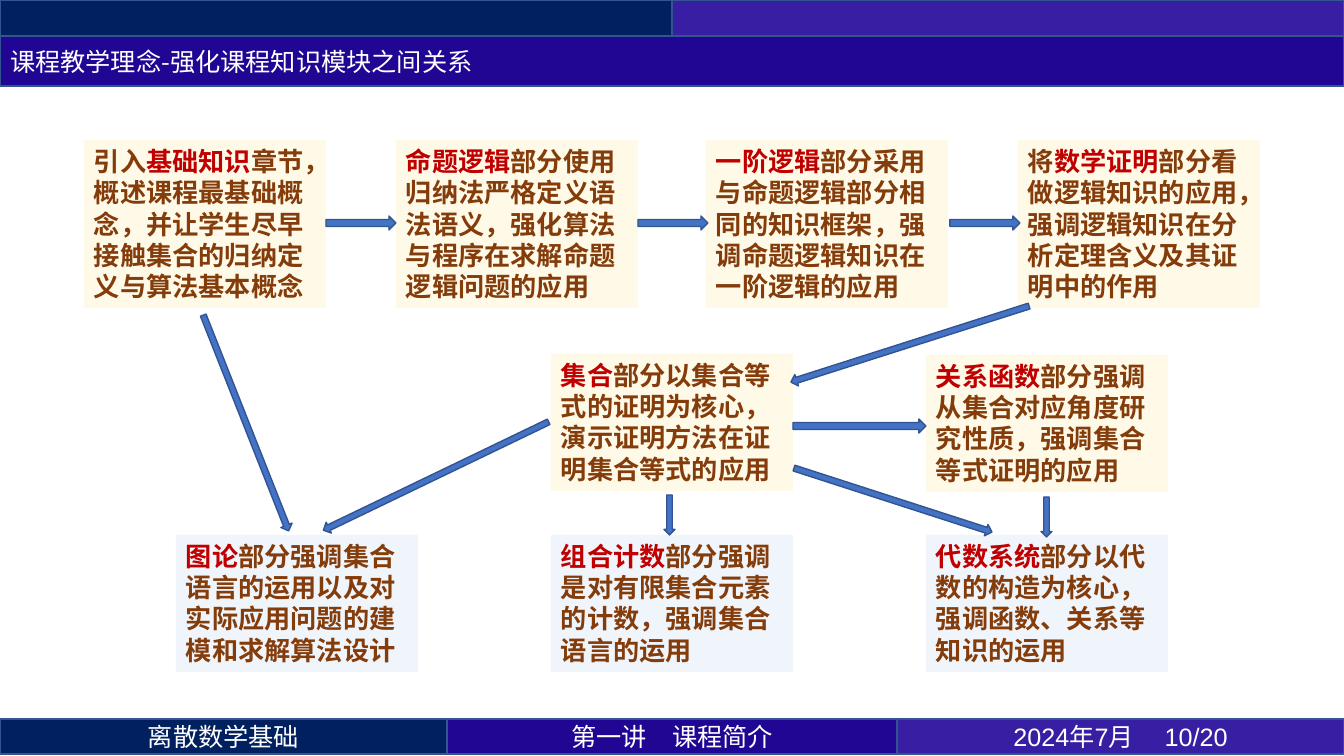
"""Build the slide on how the modules of a discrete mathematics course relate."""
from lxml.etree import SubElement
from pptx import Presentation
from pptx.dml.color import RGBColor
from pptx.enum.shapes import MSO_SHAPE
from pptx.enum.text import MSO_ANCHOR, MSO_AUTO_SIZE, PP_ALIGN
from pptx.oxml.ns import qn
from pptx.util import Pt

PX = 12192000 / 1344
CJK_FONT = "Noto Sans CJK SC"
NAVY = RGBColor(0x00, 0x20, 0x60)
INDIGO = RGBColor(0x21, 0x06, 0x94)
VIOLET = RGBColor(0x37, 0x1E, 0xA2)
OUTLINE = RGBColor(0x32, 0x54, 0x91)
ARROW_BLUE = RGBColor(0x44, 0x72, 0xC4)
CREAM = RGBColor(0xFF, 0xF2, 0xCC)
PALE_BLUE = RGBColor(0xDE, 0xEB, 0xF7)
BROWN = RGBColor(0x84, 0x3C, 0x0B)
RED = RGBColor(0xC0, 0x00, 0x00)
WHITE = RGBColor(0xFF, 0xFF, 0xFF)


def add_filled_shape(kind, left, top, width, height, color):
    frame = [round(value * PX) for value in (left, top, width, height)]
    shape = slide.shapes.add_shape(kind, *frame)
    shape.shadow.inherit = False
    shape.fill.solid()
    shape.fill.fore_color.rgb = color
    shape.line.color.rgb = OUTLINE
    shape.line.width = Pt(1)
    return shape


def set_run_font(run, size, color, latin=CJK_FONT):
    run.font.size = Pt(size)
    run.font.color.rgb = color
    run.font.name = latin
    SubElement(run.font._element, qn("a:ea")).set("typeface", CJK_FONT)


presentation = Presentation()
presentation.slide_width = round(1344 * PX)
presentation.slide_height = round(756 * PX)
slide = presentation.slides.add_slide(presentation.slide_layouts[5])

title = slide.shapes.title
title.left, title.top = 0, round(36 * PX)
title.width, title.height = round(1344 * PX), round(50 * PX)
title.fill.solid()
title.fill.fore_color.rgb = INDIGO
title.line.color.rgb = OUTLINE
title.line.width = Pt(1)
title.text_frame.text = "课程教学理念-强化课程知识模块之间关系"
title.text_frame.auto_size = MSO_AUTO_SIZE.NONE
title.text_frame.vertical_anchor = MSO_ANCHOR.MIDDLE
title_paragraph = title.text_frame.paragraphs[0]
title_paragraph.alignment = PP_ALIGN.LEFT
set_run_font(title_paragraph.runs[0], 18, WHITE)

for left, color in [(0, NAVY), (672, VIOLET)]:
    add_filled_shape(MSO_SHAPE.RECTANGLE, left, 0, 672, 36, color)

footer_cells = [
    (0, 447, NAVY, "离散数学基础", CJK_FONT),
    (447, 450, INDIGO, "第一讲\t课程简介", CJK_FONT),
    (897, 447, VIOLET, "2024年7月 \t10/20", "Arial"),
]
for left, width, color, text, latin in footer_cells:
    cell = add_filled_shape(MSO_SHAPE.RECTANGLE, left, 719, width, 35, color)
    cell.text_frame.text = text
    cell.text_frame.vertical_anchor = MSO_ANCHOR.MIDDLE
    paragraph = cell.text_frame.paragraphs[0]
    paragraph.alignment = PP_ALIGN.CENTER
    set_run_font(paragraph.runs[0], 18, WHITE, latin)

modules = [
    (84, 140, 168, CREAM, "引入|基础知识|章节，概述课程最基础概念，并让学生尽早接触集合的归纳定义与算法基本概念"),
    (396, 140, 168, CREAM, "|命题逻辑|部分使用归纳法严格定义语法语义，强化算法与程序在求解命题逻辑问题的应用"),
    (706, 140, 168, CREAM, "|一阶逻辑|部分采用与命题逻辑部分相同的知识框架，强调命题逻辑知识在一阶逻辑的应用"),
    (1018, 140, 168, CREAM, "将|数学证明|部分看做逻辑知识的应用，强调逻辑知识在分析定理含义及其证明中的作用"),
    (551, 354, 137, CREAM, "|集合|部分以集合等式的证明为核心，演示证明方法在证明集合等式的应用"),
    (926, 355, 137, CREAM, "|关系函数|部分强调从集合对应角度研究性质，强调集合等式证明的应用"),
    (176, 535, 137, PALE_BLUE, "|图论|部分强调集合语言的运用以及对实际应用问题的建模和求解算法设计"),
    (551, 535, 137, PALE_BLUE, "|组合计数|部分强调是对有限集合元素的计数，强调集合语言的运用"),
    (926, 535, 137, PALE_BLUE, "|代数系统|部分以代数的构造为核心，强调函数、关系等知识的运用"),
]
for left, top, height, color, text in modules:
    box = add_filled_shape(MSO_SHAPE.RECTANGLE, left, top, 242, height, color)
    box.line.fill.background()
    fill_color = box._element.spPr.find(qn("a:solidFill"))[0]
    SubElement(fill_color, qn("a:alpha")).set("val", "45000")
    box.text_frame.word_wrap = True
    box.text_frame.auto_size = MSO_AUTO_SIZE.SHAPE_TO_FIT_TEXT
    box.text_frame.vertical_anchor = MSO_ANCHOR.TOP
    paragraph = box.text_frame.paragraphs[0]
    paragraph.alignment = PP_ALIGN.LEFT
    paragraph.font.bold = True
    lead, topic, rest = text.split("|")
    for words, text_color in [(lead, BROWN), (topic, RED), (rest, BROWN)]:
        if words:
            run = paragraph.add_run()
            run.text = words
            run.font.bold = True
            set_run_font(run, 18.7, text_color)

RIGHT, DOWN = MSO_SHAPE.RIGHT_ARROW, MSO_SHAPE.DOWN_ARROW
arrows = [
    (RIGHT, 326, 216, 70, 14, 0),
    (RIGHT, 638, 216, 70, 14, 0),
    (RIGHT, 950, 216, 70, 14, 0),
    (RIGHT, 785, 338, 250, 12, 162.3),
    (RIGHT, 793, 419, 133, 14, 0),
    (RIGHT, 311, 470, 250, 12, 154.3),
    (DOWN, 240, 307, 12, 232, 338.4),
    (DOWN, 664, 495, 11, 40, 0),
    (DOWN, 1041, 497, 11, 40, 0),
    (DOWN, 887, 396, 12, 208, 287.9),
]
for kind, left, top, width, height, rotation in arrows:
    arrow = add_filled_shape(kind, left, top, width, height, ARROW_BLUE)
    arrow.rotation = rotation

presentation.save("out.pptx")
